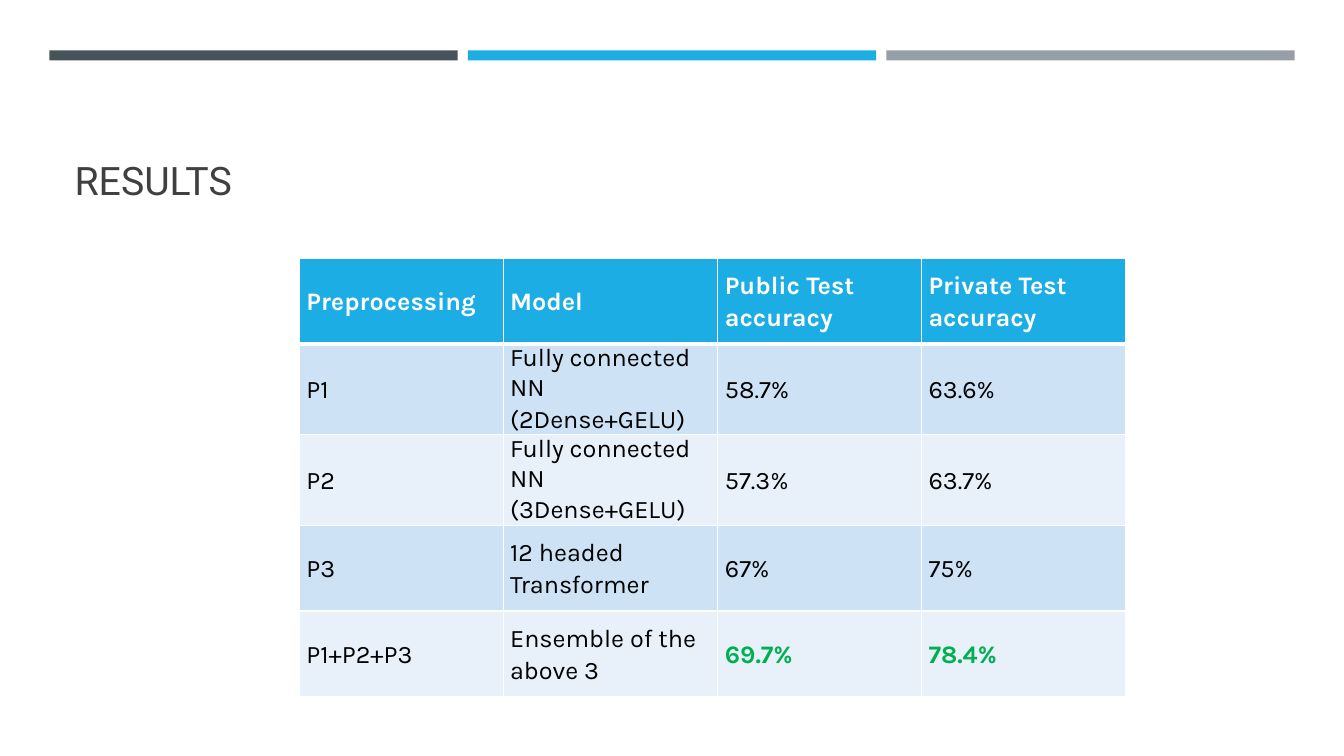
from dataclasses import dataclass

from lxml import etree
from pptx import Presentation
from pptx.dml.color import RGBColor
from pptx.enum.shapes import MSO_SHAPE
from pptx.enum.text import MSO_ANCHOR, MSO_AUTO_SIZE, PP_ALIGN
from pptx.oxml.ns import qn
from pptx.util import Inches, Pt

RECTANGLE = MSO_SHAPE.RECTANGLE
MIDDLE, BOTTOM = MSO_ANCHOR.MIDDLE, MSO_ANCHOR.BOTTOM
NO_AUTOFIT = MSO_AUTO_SIZE.NONE
LEFT = PP_ALIGN.LEFT


@dataclass(frozen=True)
class Theme:
    title_font: str = "Roboto"
    table_font: str = "Karla"
    title_size: int = 28
    table_size: int = 18
    line_spacing: float = 1.07
    title: str = "404040"
    text: str = "000000"
    white: str = "FFFFFF"
    best: str = "00B050"
    accent: str = "1CADE4"
    bars: tuple = ("465359", "1CADE4", "969FA7")
    bands: tuple = ("CDE3F5", "E8F1FA")


THEME = Theme()

HEADER = ("Preprocessing", "Model", "Public Test accuracy", "Private Test accuracy")
RESULTS = (
    ("P1", "Fully connected NN\n(2Dense+GELU)", "58.7%", "63.6%"),
    ("P2", "Fully connected NN\n(3Dense+GELU)", "57.3%", "63.7%"),
    ("P3", "12 headed Transformer", "67%", "75%"),
    ("P1+P2+P3", "Ensemble of the above 3", "69.7%", "78.4%"),
)
BEST_CELLS = ("69.7%", "78.4%")
COLUMN_WIDTHS = (2.02, 2.13, 2.02, 2.02)
ROW_HEIGHT = 0.85


def add_run(paragraph, text, font, size, color, bold=False):
    run = paragraph.add_run()
    run.text = text
    run.font.name = font
    run.font.size = Pt(size)
    run.font.bold = bold
    run.font.color.rgb = RGBColor.from_string(color)


def add_bars(slide):
    for index, color in enumerate(THEME.bars):
        bar = slide.shapes.add_shape(
            RECTANGLE, Inches(0.49 + index * 4.15), Inches(0.5), Inches(4.05), Inches(0.1))
        bar.shadow.inherit = False
        bar.fill.solid()
        bar.fill.fore_color.rgb = RGBColor.from_string(color)
        bar.line.fill.background()


def set_title(slide, text):
    title = slide.shapes.title
    title.left, title.top = Inches(0.64), Inches(0.77)
    title.width, title.height = Inches(12.06), Inches(1.3)
    frame = title.text_frame
    frame.auto_size = NO_AUTOFIT
    frame.vertical_anchor = BOTTOM
    paragraph = frame.paragraphs[0]
    paragraph.alignment = LEFT
    add_run(paragraph, text, THEME.title_font, THEME.title_size, THEME.title)


def set_borders(cell, bottom, top):
    properties = cell._tc.get_or_add_tcPr()
    for side, width in (("L", 1), ("R", 1), ("T", top), ("B", bottom)):
        line = etree.SubElement(properties, qn(f"a:ln{side}"), w=str(Pt(width)))
        fill = etree.SubElement(line, qn("a:solidFill"))
        etree.SubElement(fill, qn("a:srgbClr"), val=THEME.white)


def fill_cell(cell, text, fill, color, bold):
    cell.vertical_anchor = MIDDLE
    cell.margin_left = cell.margin_right = Inches(0.07)
    cell.margin_top = cell.margin_bottom = 0
    cell.fill.solid()
    cell.fill.fore_color.rgb = RGBColor.from_string(fill)
    lines = text.split("\n")
    frame = cell.text_frame
    for index, line in enumerate(lines):
        paragraph = frame.add_paragraph() if index else frame.paragraphs[0]
        # Only the last line of a cell has the wider spacing
        is_last = index == len(lines) - 1
        paragraph.line_spacing = THEME.line_spacing if is_last else 1.0
        add_run(paragraph, line, THEME.table_font, THEME.table_size, color, bold)


def add_results_table(slide):
    rows = (HEADER, *RESULTS)
    table = slide.shapes.add_table(
        len(rows), len(HEADER), Inches(2.97), Inches(2.56),
        Inches(sum(COLUMN_WIDTHS)), Inches(ROW_HEIGHT * len(rows))).table
    for column, width in zip(table.columns, COLUMN_WIDTHS):
        column.width = Inches(width)
    for row_index, values in enumerate(rows):
        is_header = row_index == 0
        table.rows[row_index].height = Inches(ROW_HEIGHT)
        fill = THEME.accent if is_header else THEME.bands[(row_index - 1) % 2]
        for column_index, text in enumerate(values):
            cell = table.cell(row_index, column_index)
            is_best = text in BEST_CELLS
            color = THEME.white if is_header else THEME.best if is_best else THEME.text
            set_borders(cell, bottom=3 if is_header else 1, top=3 if row_index == 1 else 1)
            fill_cell(cell, text, fill, color, is_header or is_best)


def main():
    presentation = Presentation()
    presentation.slide_width, presentation.slide_height = Inches(13.33), Inches(7.5)
    slide = presentation.slides.add_slide(presentation.slide_layouts[5])

    # Bars across the top
    add_bars(slide)
    # Heading
    set_title(slide, "RESULTS")
    # Accuracy by preprocessing and model
    add_results_table(slide)

    presentation.save("out.pptx")


if __name__ == "__main__":
    main()
